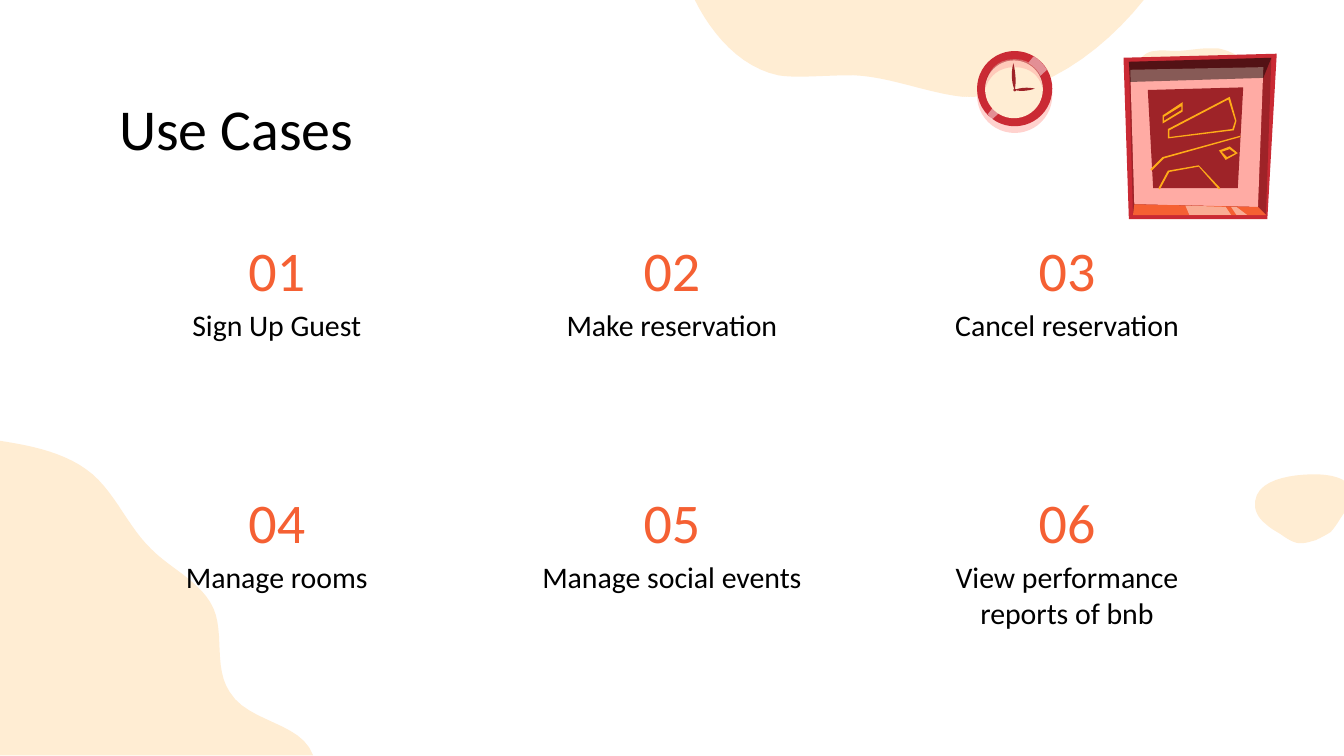
import pptx
import pptx.dml.color
import pptx.enum.shapes
import pptx.enum.text
import pptx.oxml.ns
import pptx.util
from lxml import etree

Inches = pptx.util.Inches
PP_ALIGN = pptx.enum.text.PP_ALIGN
OVAL = pptx.enum.shapes.MSO_SHAPE.OVAL


class Theme:
    font = "Calibri"
    title_size, number_size, label_size = 31, 30, 16
    text, orange, cream = "000000", "F56033", "FFEDD3"
    red, dark_red, pink, gold = "CA2A34", "9E2328", "FFABA4", "FFAC18"
    white, black = "FFFFFF", "000000"


def draw(shapes, color, *contours, alpha=None, oval=None):
    """Fill contours of (x, y) lines and six-number Bezier curves, or an oval box."""
    if oval:
        sp = shapes.add_shape(OVAL, *map(Inches, oval))
    else:
        builder = None
        for start, *segments in contours:
            x, y = start
            points = []
            for seg in segments:
                if len(seg) == 2:
                    points.append(seg)
                else:
                    x1, y1, x2, y2, x3, y3 = seg
                    for t in [i / 12 for i in range(1, 13)]:
                        u = 1 - t
                        a, b, c, d = u**3, 3 * u * u * t, 3 * u * t * t, t**3
                        points.append((a * x + b * x1 + c * x2 + d * x3,
                                       a * y + b * y1 + c * y2 + d * y3))
                x, y = seg[-2:]
            first = [Inches(v) for v in start]
            if builder is None:
                builder = shapes.build_freeform(*first)
            else:
                builder.move_to(*first)
            builder.add_line_segments([(Inches(px), Inches(py)) for px, py in points], close=True)
        sp = builder.convert_to_shape()
    sp.shadow.inherit = False
    sp.line.fill.background()
    sp.fill.solid()
    sp.fill.fore_color.rgb = pptx.dml.color.RGBColor.from_string(color)
    if alpha:
        clr = sp.fill._xPr.find(".//" + pptx.oxml.ns.qn("a:srgbClr"))
        etree.SubElement(clr, pptx.oxml.ns.qn("a:alpha")).set("val", str(alpha * 1000))


def add_text(text, box, size, color, align):
    tf = s.shapes.add_textbox(*map(Inches, box)).text_frame
    margins = dict.fromkeys(("margin_left", "margin_right", "margin_top", "margin_bottom"), Inches(0.1))
    for name, value in {"word_wrap": True, **margins}.items():
        setattr(tf, name, value)
    p = tf.paragraphs[0]
    p.alignment = align
    r = p.add_run()
    r.text = text
    for name, value in {"name": Theme.font, "size": pptx.util.Pt(size)}.items():
        setattr(r.font, name, value)
    r.font.color.rgb = pptx.dml.color.RGBColor.from_string(color)


prs = pptx.Presentation()
prs.slide_width = Inches(10)
prs.slide_height = Inches(10 * 9 / 16)
s = prs.slides.add_slide(prs.slide_layouts[6])

# Background blobs
blobs = [
    [(0, 3.28), (0, 5.62), (2.33, 5.62), (2.24, 5.37, 1.85, 5.38, 1.71, 5.15),
     (1.59, 4.97, 1.67, 4.72, 1.59, 4.53), (1.5, 4.33, 1.28, 4.24, 1.13, 4.09),
     (0.96, 3.93, 0.87, 3.69, 0.69, 3.53), (0.5, 3.37, 0.25, 3.32, 0, 3.28)],
    [(8.51, 0), (5.17, 0), (5.3, 0.26, 5.51, 0.5, 5.79, 0.56),
     (5.85, 0.57, 5.9, 0.57, 5.96, 0.57), (6.07, 0.57, 6.19, 0.56, 6.35, 0.56),
     (6.62, 0.57, 6.89, 0.69, 7.16, 0.72), (7.19, 0.72, 7.22, 0.72, 7.25, 0.72),
     (7.74, 0.72, 8.2, 0.39, 8.51, 0)],
    [(9, 0.36), (8.91, 0.36, 8.83, 0.38, 8.74, 0.38), (8.7, 0.38, 8.65, 0.37, 8.6, 0.38),
     (8.53, 0.38, 8.48, 0.43, 8.46, 0.49), (8.43, 0.55, 8.43, 0.61, 8.43, 0.68),
     (8.43, 0.76, 8.43, 0.84, 8.46, 0.91), (8.49, 0.99, 8.55, 1.05, 8.62, 1.07),
     (8.7, 1.09, 8.77, 1.07, 8.84, 1.04), (8.91, 1.01, 8.98, 0.98, 9.06, 0.97),
     (9.14, 0.97, 9.22, 1, 9.29, 0.95), (9.34, 0.93, 9.36, 0.88, 9.38, 0.83),
     (9.41, 0.73, 9.39, 0.62, 9.33, 0.53), (9.27, 0.44, 9.17, 0.38, 9.06, 0.36), (9, 0.36)],
    [(9.78, 3.53), (9.63, 3.53, 9.31, 3.56, 9.34, 3.78), (9.35, 3.83, 9.38, 3.87, 9.42, 3.9),
     (9.46, 3.94, 9.51, 3.96, 9.55, 3.99), (9.58, 4.01, 9.61, 4.03, 9.65, 4.04),
     (9.7, 4.05, 9.75, 4.03, 9.79, 4.02), (9.83, 4, 9.87, 3.98, 9.9, 3.96),
     (9.94, 3.92, 9.97, 3.86, 10, 3.82), (10.02, 3.8, 10.04, 3.78, 10.06, 3.75),
     (10.09, 3.69, 10.05, 3.61, 9.99, 3.57), (9.93, 3.54, 9.86, 3.53, 9.78, 3.53)],
]
for blob in blobs:
    draw(s.shapes, Theme.cream, blob)

# Title and use cases
add_text("Use Cases", (0.79, 0.59, 8.43, 0.69), Theme.title_size, Theme.text, PP_ALIGN.LEFT)
use_cases = ["Sign Up Guest", "Make reservation", "Cancel reservation",
             "Manage rooms", "Manage social events", "View performance reports of bnb"]
for i, name in enumerate(use_cases):
    row, col = divmod(i, 3)
    center, top = 5 + 2.94 * (col - 1), 1.65 + 1.88 * row
    add_text(f"{i + 1:02}", (center - 0.57, top, 1.14, 0.72),
             Theme.number_size, Theme.orange, PP_ALIGN.CENTER)
    add_text(name, (center - 1.28, top + 0.53, 2.56, 0.48),
             Theme.label_size, Theme.text, PP_ALIGN.CENTER)

# Framed painting
frame = s.shapes.add_group_shape().shapes
draw(frame, Theme.red, [(8.4, 1.63), (8.36, 0.43), (9.5, 0.4), (9.43, 1.63)])
draw(frame, Theme.dark_red, [(9.46, 0.43), (8.4, 0.46), (8.43, 1.6), (9.42, 1.6)])
draw(frame, Theme.pink, [(8.44, 1.52), (9.36, 1.54), (9.4, 0.5), (8.41, 0.52)])
draw(frame, Theme.orange, [(9.36, 1.54), (9.42, 1.6), (8.43, 1.6), (8.44, 1.52)])
draw(frame, Theme.black, [(9.46, 0.43), (8.4, 0.46), (8.41, 0.61), (9.4, 0.58)], alpha=47)
draw(frame, Theme.dark_red, [(9.25, 0.65), (8.54, 0.67), (8.58, 1.4), (9.21, 1.4)])
gold_lines = [
    [[(8.57, 1.27), (8.56, 1.26), (8.65, 1.17), (9.23, 1.01), (9.23, 1.02), (8.66, 1.18)]],
    [[(8.69, 1.03), (8.69, 0.96), (9.15, 0.72), (9.2, 0.9), (9.18, 0.97)],
     [(8.7, 0.97), (8.7, 1.02), (9.17, 0.96), (9.19, 0.9), (9.14, 0.74)]],
    [[(8.65, 0.92), (8.65, 0.86), (8.8, 0.76), (8.8, 0.83)],
     [(8.66, 0.87), (8.66, 0.9), (8.79, 0.82), (8.79, 0.79)]],
    [[(9.07, 1.41), (8.92, 1.24), (8.7, 1.28), (8.63, 1.41), (8.62, 1.4),
      (8.69, 1.27), (8.92, 1.23), (9.08, 1.4)]],
    [[(9.12, 1.19), (9.07, 1.12), (9.15, 1.09), (9.21, 1.14)],
     [(9.09, 1.13), (9.13, 1.17), (9.19, 1.14), (9.15, 1.11)]],
]
for contours in gold_lines:
    draw(frame, Theme.gold, *contours)
draw(frame, Theme.white, [(8.82, 1.53), (8.85, 1.6), (9.16, 1.6), (9.12, 1.54)], alpha=48)
draw(frame, Theme.white, [(9.16, 1.54), (9.2, 1.6), (9.28, 1.6), (9.2, 1.54)], alpha=48)

# Wall clock
clock = s.shapes.add_group_shape().shapes
draw(clock, Theme.pink, oval=(7.27, 0.43, 0.56, 0.56), alpha=53)
draw(clock, Theme.red, oval=(7.27, 0.38, 0.56, 0.56))
draw(clock, Theme.white, [(7.69, 0.42), (7.35, 0.85), (7.38, 0.89), (7.79, 0.52),
                          (7.79, 0.52, 7.74, 0.44, 7.69, 0.42)], alpha=48)
draw(clock, Theme.dark_red, oval=(7.33, 0.44, 0.43, 0.43))
draw(clock, Theme.cream, oval=(7.33, 0.45, 0.43, 0.43))
draw(clock, Theme.dark_red, oval=(7.54, 0.66, 0.02, 0.02))
draw(clock, Theme.pink, [(7.55, 0.44), (7.33, 0.44, 7.33, 0.67, 7.33, 0.67),
                         (7.33, 0.67, 7.36, 0.5, 7.55, 0.5), (7.74, 0.5, 7.76, 0.67, 7.76, 0.67),
                         (7.76, 0.67, 7.76, 0.44, 7.55, 0.44)], alpha=53)
draw(clock, Theme.dark_red, [(7.55, 0.67), (7.55, 0.67, 7.51, 0.59, 7.54, 0.47),
                             (7.54, 0.47, 7.57, 0.58, 7.55, 0.67)])
draw(clock, Theme.dark_red, [(7.55, 0.67), (7.55, 0.67, 7.61, 0.64, 7.7, 0.66),
                             (7.7, 0.66, 7.62, 0.69, 7.55, 0.67)])

prs.save("out.pptx")
